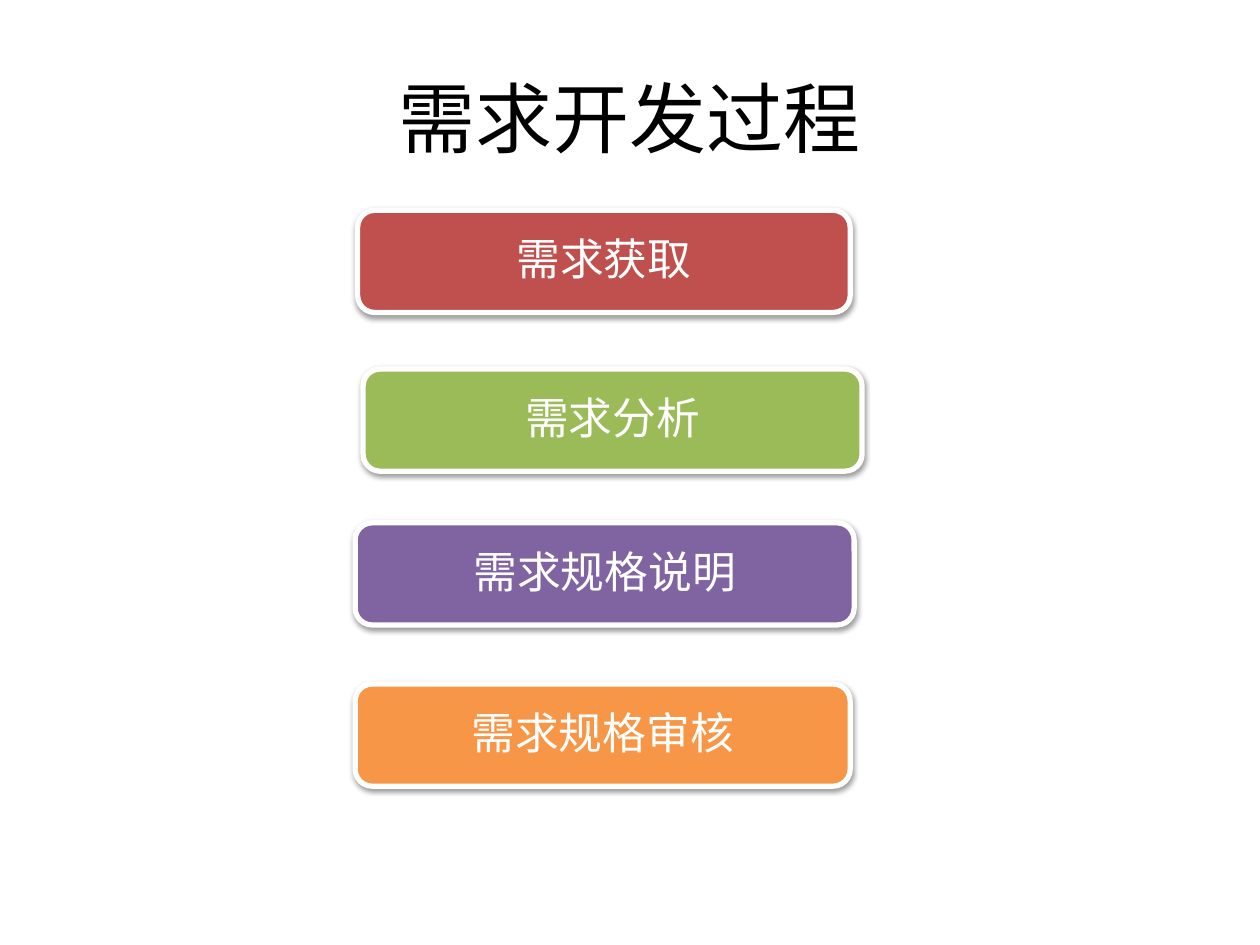
from lxml.etree import SubElement
from pptx import Presentation
from pptx.dml.color import RGBColor
from pptx.enum.shapes import MSO_SHAPE as Shape
from pptx.enum.text import MSO_ANCHOR as Anchor, PP_ALIGN as Align
from pptx.oxml.ns import qn
from pptx.util import Cm, Pt

FONT = "Calibri"
COLORS = {
    "title": "000000",
    "white": "FFFFFF",
    "shadow": "000000",
    "red": "C0504D",
    "green": "9BBB59",
    "purple": "8064A2",
    "orange": "F79646",
}
STEP_HEIGHT = 2.06

# Label, colour, left, top and width (cm) of each step
STEPS = [
    ("需求获取", "red", 7.21, 4.24, 9.93),
    ("需求分析", "green", 7.32, 7.44, 10.06),
    ("需求规格说明", "purple", 7.16, 10.54, 10.06),
    ("需求规格审核", "orange", 7.16, 13.79, 9.98),
]


def color(name):
    return RGBColor.from_string(COLORS[name])


def write_text(shape, text, size, color_name):
    """Fill a shape with one centred line of text."""
    frame = shape.text_frame
    frame.word_wrap = True
    frame.vertical_anchor = Anchor.MIDDLE
    frame.text = text
    para = frame.paragraphs[0]
    para.alignment = Align.CENTER
    font = para.runs[0].font
    font.name = FONT
    font.size = Pt(size)
    font.color.rgb = color(color_name)
    return para


def add_shadow(shape):
    """Give a shape a soft shadow that falls straight down."""
    shape.shadow.inherit = False
    effects = shape._element.spPr.find(qn("a:effectLst"))
    shadow = SubElement(effects, qn("a:outerShdw"), blurRad=str(Pt(3.1)),
                        dist=str(Pt(1.6)), dir="5400000", rotWithShape="0")
    tint = SubElement(shadow, qn("a:srgbClr"), val=COLORS["shadow"])
    SubElement(tint, qn("a:alpha"), val="38000")


def add_title(page, text):
    box = page.shapes.add_textbox(Cm(1.27), Cm(0.76), Cm(22.86), Cm(3.18))
    write_text(box, text, 44, "title")


def add_step(page, label, fill, left, top, width):
    box = page.shapes.add_shape(Shape.ROUNDED_RECTANGLE, Cm(left), Cm(top),
                                Cm(width), Cm(STEP_HEIGHT))
    box.fill.solid()
    box.fill.fore_color.rgb = color(fill)
    box.line.color.rgb = color("white")
    box.line.width = Pt(3)
    add_shadow(box)
    para = write_text(box, label, 25, "white")
    para.line_spacing = 0.9
    frame = box.text_frame
    frame.margin_left = frame.margin_right = Cm(0.33)
    frame.margin_top = frame.margin_bottom = 0


def main():
    deck = Presentation()
    deck.slide_width, deck.slide_height = Cm(25.4), Cm(19.05)
    page = deck.slides.add_slide(deck.slide_layouts[6])

    # Heading
    add_title(page, "需求开发过程")

    # Process steps, from top to bottom
    for step in STEPS:
        add_step(page, *step)

    deck.save("out.pptx")


if __name__ == "__main__":
    main()
